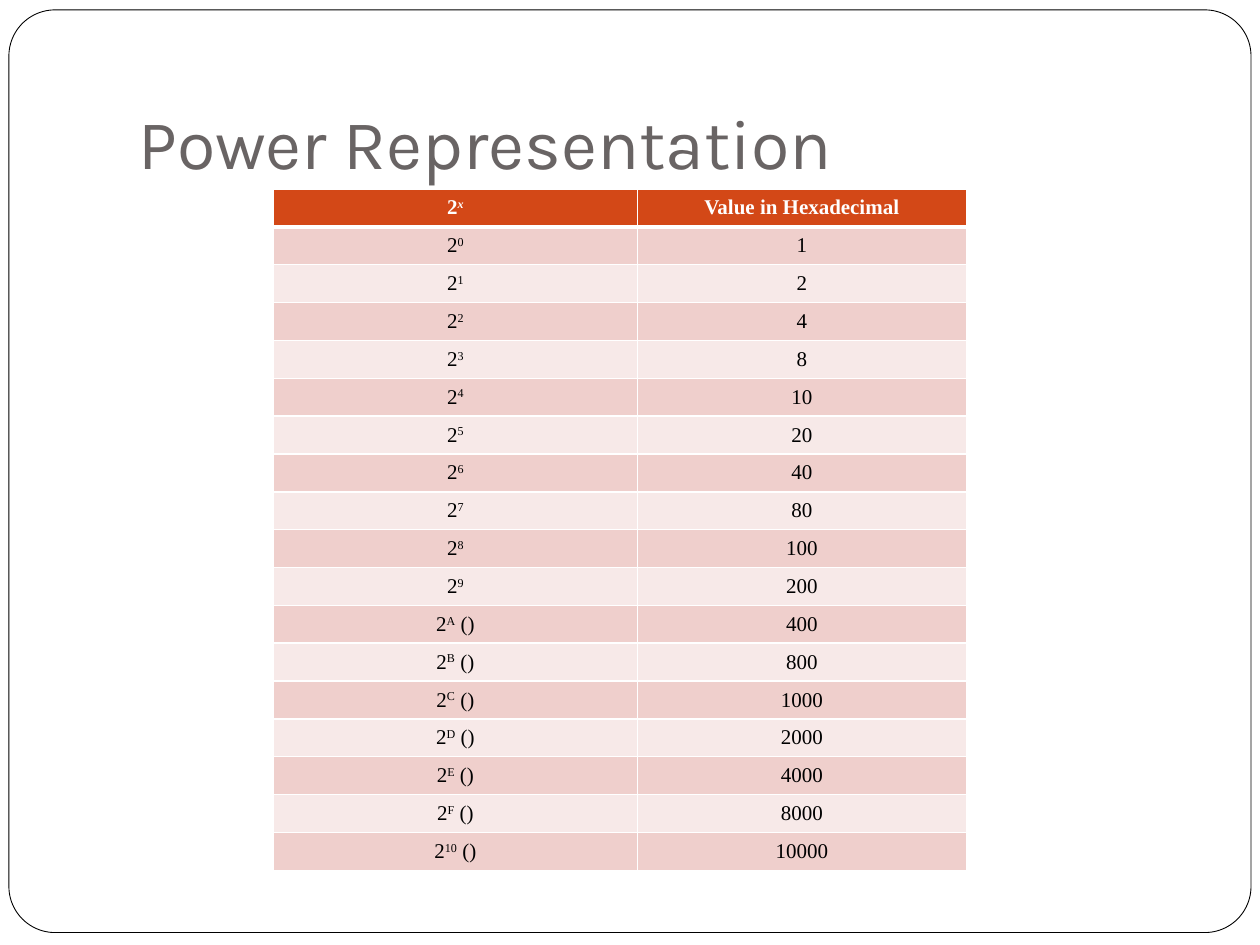
import pptx
import pptx.util
import pptx.dml.color
import pptx.enum.shapes
import pptx.enum.text
import pptx.oxml
import pptx.oxml.ns

Cm = pptx.util.Cm
Pt = pptx.util.Pt
CENTER = pptx.enum.text.PP_ALIGN.CENTER
MIDDLE = pptx.enum.text.MSO_ANCHOR.MIDDLE


def color(hex_code):
    return pptx.dml.color.RGBColor.from_string(hex_code)


def add_text(para, text, font="Times New Roman", size=12, fill="000000",
             bold=False, italic=False, raised=False):
    span = para.add_run()
    span.text = text
    span.font.name = font
    span.font.size = Pt(size)
    span.font.bold = bold
    span.font.italic = italic
    span.font.color.rgb = color(fill)
    if raised:
        span.font._element.set("baseline", "30000")


def add_frame(page, left, top, width, height):
    frame = page.shapes.add_shape(
        pptx.enum.shapes.MSO_SHAPE.ROUNDED_RECTANGLE, left, top, width, height)
    frame.adjustments[0] = 0.05
    frame.shadow.inherit = False
    frame.fill.solid()
    frame.fill.fore_color.rgb = color("FFFFFF")
    frame.line.color.rgb = color("000000")
    frame.line.width = Pt(0.5)


def add_title(page, left, top, width, height, text):
    body = page.shapes.add_textbox(left, top, width, height).text_frame
    body.word_wrap = True
    body.vertical_anchor = pptx.enum.text.MSO_ANCHOR.BOTTOM
    body.margin_bottom = Cm(0.25)
    add_text(body.paragraphs[0], text, font="Karla", size=40, fill="696464")


def style_cell(cell, fill, bottom_width):
    cell.vertical_anchor = MIDDLE
    cell.text_frame.paragraphs[0].alignment = CENTER
    # Borders come before the fill in the cell properties
    props = cell._tc.get_or_add_tcPr()
    for side, width in (("L", 1), ("R", 1), ("T", 1), ("B", bottom_width)):
        props.append(pptx.oxml.parse_xml(
            f'<a:ln{side} {pptx.oxml.ns.nsdecls("a")} w="{Pt(width)}">'
            f'<a:solidFill><a:srgbClr val="FFFFFF"/></a:solidFill></a:ln{side}>'))
    cell.fill.solid()
    cell.fill.fore_color.rgb = color(fill)


def add_power_table(page, left, top, column_widths, row_height, powers):
    table = page.shapes.add_table(
        powers + 1, 2, left, top, sum(column_widths),
        row_height * (powers + 1)).table
    for column, width in zip(table.columns, column_widths):
        column.width = width

    for index, row in enumerate(table.rows):
        row.height = row_height
        header = index == 0
        power = index - 1
        fill = "D34817" if header else ("EFCFCC", "F7E9E8")[power % 2]
        for cell in row.cells:
            style_cell(cell, fill, 3 if header else 1)
        base, value = (cell.text_frame.paragraphs[0] for cell in row.cells)
        look = {"fill": "FFFFFF" if header else "000000", "bold": header}

        # Exponents and values are both hexadecimal
        add_text(base, "2", **look)
        add_text(base, "x" if header else f"{power:X}",
                 raised=True, italic=header, **look)
        if power > 9:
            add_text(base, " ()", **look)
        add_text(value, "Value in Hexadecimal" if header
                 else f"{2 ** power:X}", **look)


deck = pptx.Presentation()
deck.slide_width = Cm(25.4)
deck.slide_height = Cm(19.05)
page = deck.slides.add_slide(deck.slide_layouts[6])

add_frame(page, Cm(0.18), Cm(0.2), Cm(25.04), Cm(18.6))
add_title(page, Cm(2.54), Cm(0.76), Cm(21.59), Cm(3.18), "Power Representation")
add_power_table(page, Cm(5.51), Cm(3.81), (Cm(7.34), Cm(6.63)), Cm(0.64), 17)

deck.save("out.pptx")
